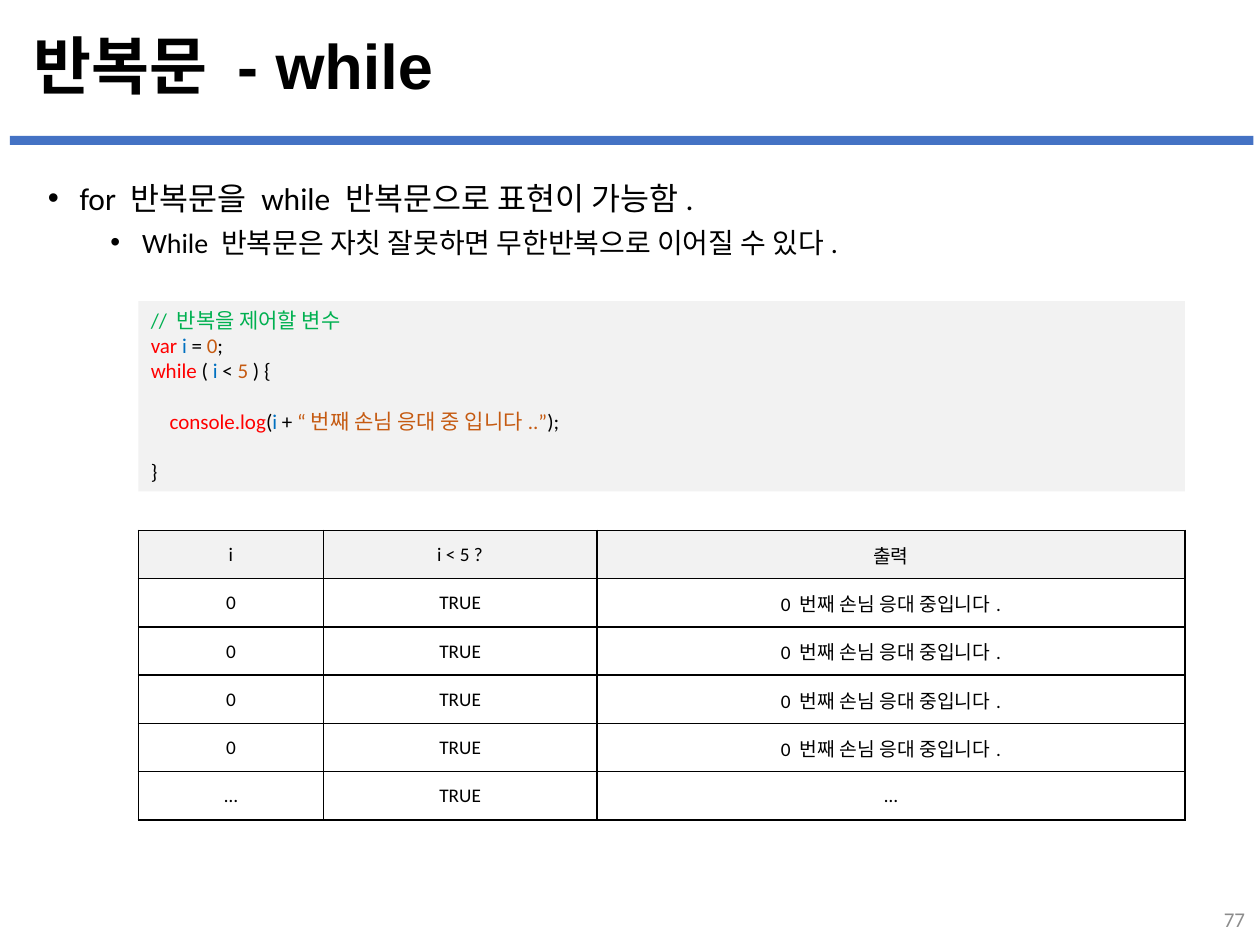
from collections import namedtuple

from lxml.etree import SubElement
from pptx import Presentation
from pptx.dml.color import RGBColor
from pptx.enum.shapes import MSO_SHAPE
from pptx.enum.text import MSO_ANCHOR, MSO_AUTO_SIZE, PP_ALIGN
from pptx.oxml.ns import qn
from pptx.util import Cm, Pt

BLACK = RGBColor(0x00, 0x00, 0x00)
WHITE = RGBColor(0xFF, 0xFF, 0xFF)
PALE = RGBColor(0xF2, 0xF2, 0xF2)
GRAY = RGBColor(0x8C, 0x8C, 0x8C)
BAR = RGBColor(0x44, 0x72, 0xC4)
GREEN = RGBColor(0x00, 0xB0, 0x50)
RED = RGBColor(0xFF, 0x00, 0x00)
BLUE = RGBColor(0x00, 0x70, 0xC0)
BROWN = RGBColor(0xC5, 0x5A, 0x11)

Box = namedtuple("Box", "left top width height")

LIST = [
    ("for 반복문을 while 반복문으로 표현이 가능함.", 18, 10, 0.64),
    ("While 반복문은 자칫 잘못하면 무한반복으로 이어질 수 있다.", 16, 5, 1.9),
]
CODE = [
    [("// 반복을 제어할 변수", GREEN)],
    [("var ", RED), ("i", BLUE), (" = ", BLACK), ("0", BROWN), (";", BLACK)],
    [("while", RED), (" ( ", BLACK), ("i ", BLUE), ("< ", BLACK),
     ("5", BROWN), (" ) {", BLACK)],
    [("console.log", RED), ("(", BLACK), ("i", BLUE), (" + ", BLACK),
     ("“번째 손님 응대 중 입니다..”", BROWN), (");", BLACK)],
    [("}", BLACK)],
]
CALL = 3
ROWS = [
    ("i", "i < 5 ?", "출력"),
    *[("0", "TRUE", "0 번째 손님 응대 중입니다.")] * 4,
    ("…", "TRUE", "…"),
]
WIDTHS = [3.73, 5.51, 11.86]


def place(shape, box):
    """Move and size a shape to a box in centimetres."""
    shape.left, shape.top, shape.width, shape.height = map(Cm, box)


def style(run, size, color, face="Calibri", bold=False):
    """Format one run."""
    font = run.font
    font.size, font.name, font.bold = Pt(size), face, bold
    font.color.rgb = color


def panel(slide, box, color):
    """Add a plain filled rectangle."""
    shape = slide.shapes.add_shape(MSO_SHAPE.RECTANGLE, *map(Cm, box))
    shape.shadow.inherit = False
    shape.fill.solid()
    shape.fill.fore_color.rgb = color
    shape.line.fill.background()
    return shape


def header(slide, box):
    """Set the title and the bar below it."""
    title = slide.shapes.title
    place(title, box)
    frame = title.text_frame
    frame.text = "반복문 - while"
    frame.auto_size = MSO_AUTO_SIZE.NONE
    frame.vertical_anchor = MSO_ANCHOR.MIDDLE
    para = frame.paragraphs[0]
    para.alignment = PP_ALIGN.LEFT
    para.line_spacing = 0.9
    style(para.runs[0], 36, BLACK, "Arial", True)
    panel(slide, Box(box.left - 0.23, box.top + 2.18, 25.07, 0.18), BAR)


def points(slide, box):
    """Fill the body placeholder with the two-level list."""
    body = slide.placeholders[1]
    place(body, box)
    frame = body.text_frame
    frame.text = "\n".join(item[0] for item in LIST)
    frame.auto_size = MSO_AUTO_SIZE.NONE
    for level, (para, item) in enumerate(zip(frame.paragraphs, LIST)):
        _, size, gap, indent = item
        para.level = level
        para.space_before = Pt(gap)
        style(para.runs[0], size, BLACK)
        props = para._p.get_or_add_pPr()
        props.set("marL", str(Cm(indent)))
        props.set("indent", str(-Cm(0.64)))
        SubElement(props, qn("a:buFont")).set("typeface", "Arial")
        SubElement(props, qn("a:buChar")).set("char", "•")


def code(slide, box):
    """Add the code panel with coloured tokens."""
    frame = panel(slide, box, PALE).text_frame
    frame.word_wrap = True
    frame.vertical_anchor = MSO_ANCHOR.TOP
    for index, line in enumerate(CODE):
        para = frame.add_paragraph() if index else frame.paragraphs[0]
        para.alignment = PP_ALIGN.LEFT
        for text, color in line:
            run = para.add_run()
            run.text = text
            style(run, 12, color)
        if index == CALL:
            para.space_before = para.space_after = Pt(14.4)
            para._p.get_or_add_pPr().set("marL", str(Cm(0.38)))


def border(cell):
    """Draw a black line on every side of a cell."""
    props = cell._tc.get_or_add_tcPr()
    for side in "LRTB":
        line = SubElement(props, qn(f"a:ln{side}"), w=str(Pt(1)))
        fill = SubElement(line, qn("a:solidFill"))
        SubElement(fill, qn("a:srgbClr"), val=str(BLACK))


def grid(slide, box):
    """Add the table that traces the loop."""
    frame = slide.shapes.add_table(len(ROWS), len(WIDTHS), *map(Cm, box))
    table = frame.table
    for column, width in zip(table.columns, WIDTHS):
        column.width = Cm(width)
    for index, row in enumerate(ROWS):
        table.rows[index].height = Cm(box.height / len(ROWS))
        for cell, text in zip(table.rows[index].cells, row):
            border(cell)
            cell.fill.solid()
            cell.fill.fore_color.rgb = WHITE if index else PALE
            cell.margin_left = cell.margin_right = cell.margin_top = Cm(0.02)
            cell.margin_bottom = 0
            cell.vertical_anchor = MSO_ANCHOR.MIDDLE
            cell.text = text
            para = cell.text_frame.paragraphs[0]
            para.alignment = PP_ALIGN.CENTER
            style(para.runs[0], 11, BLACK)


def number(slide, box):
    """Add the page number."""
    frame = slide.shapes.add_textbox(*map(Cm, box)).text_frame
    frame.word_wrap = True
    frame.vertical_anchor = MSO_ANCHOR.MIDDLE
    frame.text = "77"
    para = frame.paragraphs[0]
    para.alignment = PP_ALIGN.RIGHT
    style(para.runs[0], 12, GRAY)


def main():
    """Build the slide and save it."""
    deck = Presentation()
    deck.slide_width, deck.slide_height = Cm(25.4), Cm(19.05)
    slide = deck.slides.add_slide(deck.slide_layouts[1])
    header(slide, Box(0.43, 0.56, 24.54, 1.68))
    points(slide, Box(0.71, 3.48, 23.88, 15.21))
    code(slide, Box(2.79, 6.07, 21.1, 3.84))
    grid(slide, Box(2.79, 10.69, 21.1, 5.84))
    number(slide, Box(19.63, 18.01, 5.72, 1.02))
    deck.save("out.pptx")


if __name__ == "__main__":
    main()
